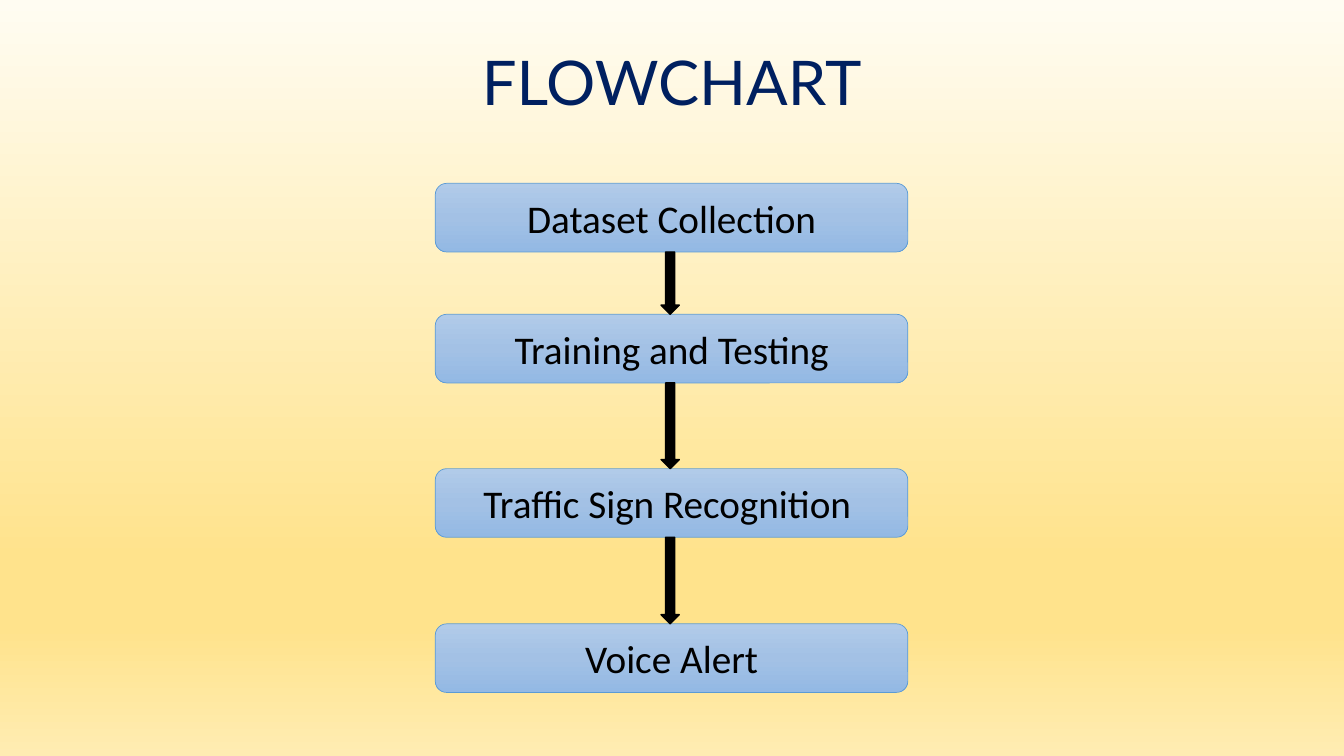
from itertools import pairwise

from lxml.etree import SubElement
from pptx import Presentation
from pptx.dml.color import RGBColor
from pptx.enum.shapes import MSO_SHAPE as SHAPE
from pptx.enum.text import MSO_ANCHOR as ANCHOR, MSO_AUTO_SIZE as AUTO_SIZE, PP_ALIGN as ALIGN
from pptx.oxml.ns import qn
from pptx.util import Cm, Pt

COLORS = {"title": "002060", "text": "000000", "arrow": "000000", "box_line": "5B9BD5"}
BACKGROUND_STOPS = [(0, "FFFCF2"), (74, "FFE38C"), (83, "FFE38C"), (100, "FFECB2")]
BOX_STOPS = [(0, "B1CBE9"), (50, "A3C1E5"), (100, "93B9E4")]

BOX_LEFT, BOX_WIDTH, BOX_HEIGHT = 10.97, 11.91, 1.73
ARROW_LEFT, ARROW_WIDTH = 16.66, 0.46
STEPS = [
    ("Dataset Collection", 4.62),
    ("Training and Testing", 7.92),
    ("Traffic Sign Recognition ", 11.81),
    ("Voice Alert", 15.72),
]


def rgb(name):
    return RGBColor.from_string(COLORS[name])


def fill_gradient(fill, element, stops):
    """Fill from top to bottom; element is the XML that holds the fill."""
    fill.gradient()
    fill.gradient_angle = 270
    gs_list = next(element.iter(qn("a:gsLst")))
    for gs in list(gs_list):
        gs_list.remove(gs)
    for percent, color in stops:
        gs = SubElement(gs_list, qn("a:gs"), pos=str(percent * 1000))
        SubElement(gs, qn("a:srgbClr"), val=color)


def write_centred(tf, text, size, font, color):
    tf.word_wrap = True
    p = tf.paragraphs[0]
    p.alignment = ALIGN.CENTER
    r = p.add_run()
    r.text = text
    r.font.size = Pt(size)
    r.font.name = font
    r.font.color.rgb = rgb(color)


def add_title(slide, text):
    tf = slide.shapes.add_textbox(Cm(11.66), Cm(0.99), Cm(10.54), Cm(2.13)).text_frame
    write_centred(tf, text, 44, "Lato", "title")
    tf.auto_size = AUTO_SIZE.SHAPE_TO_FIT_TEXT


def add_outlined_shape(slide, kind, left, top, width, height, line_color, line_width):
    sp = slide.shapes.add_shape(kind, Cm(left), Cm(top), Cm(width), Cm(height))
    sp.shadow.inherit = False
    sp.line.color.rgb = rgb(line_color)
    sp.line.width = Pt(line_width)
    return sp


def add_step(slide, text, top):
    sp = add_outlined_shape(slide, SHAPE.ROUNDED_RECTANGLE, BOX_LEFT, top,
                            BOX_WIDTH, BOX_HEIGHT, "box_line", 0.5)
    fill_gradient(sp.fill, sp.element, BOX_STOPS)
    sp.text_frame.vertical_anchor = ANCHOR.MIDDLE
    write_centred(sp.text_frame, text, 28, "Calibri", "text")


def add_down_arrow(slide, top, bottom):
    sp = add_outlined_shape(slide, SHAPE.DOWN_ARROW, ARROW_LEFT, top,
                            ARROW_WIDTH, bottom - top, "arrow", 1)
    sp.fill.solid()
    sp.fill.fore_color.rgb = rgb("arrow")


def main():
    prs = Presentation()
    prs.slide_width, prs.slide_height = Cm(33.87), Cm(19.05)
    slide = prs.slides.add_slide(prs.slide_layouts[6])
    fill_gradient(slide.background.fill, slide.element, BACKGROUND_STOPS)

    add_title(slide, "FLOWCHART")
    for text, top in STEPS:
        add_step(slide, text, top)
    for (_, top), (_, next_top) in pairwise(STEPS):
        add_down_arrow(slide, top + BOX_HEIGHT, next_top)

    prs.save("out.pptx")


if __name__ == "__main__":
    main()
